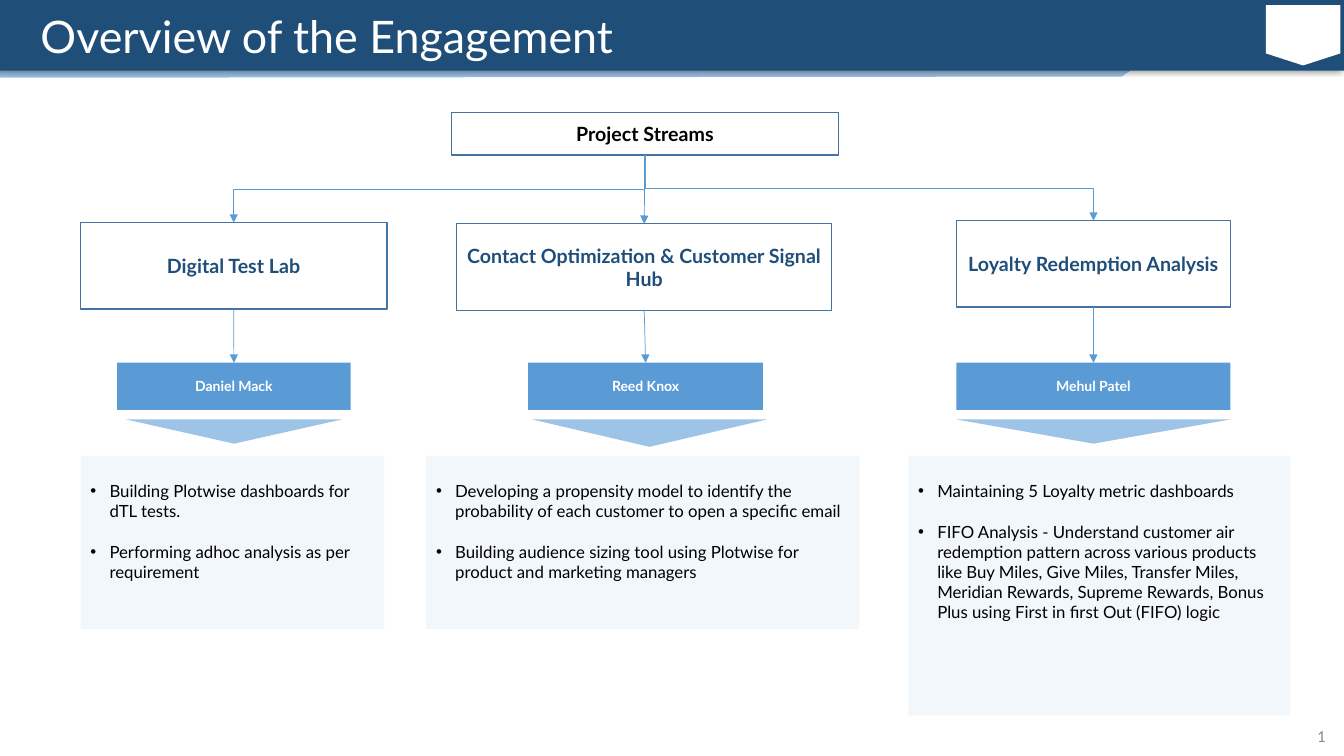
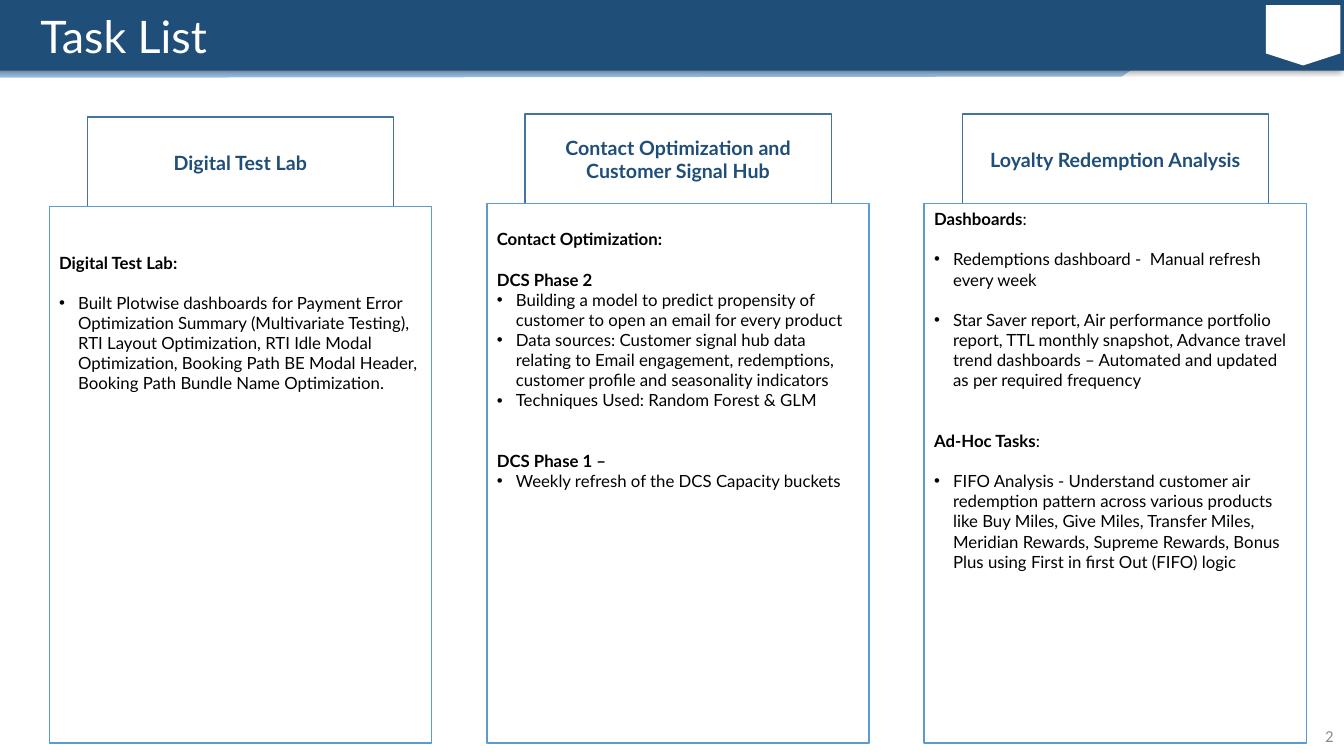
from dataclasses import dataclass
from lxml.etree import SubElement
from pptx import Presentation
from pptx.dml.color import RGBColor
from pptx.enum.shapes import MSO_CONNECTOR, MSO_SHAPE
from pptx.enum.text import MSO_ANCHOR, MSO_AUTO_SIZE, PP_ALIGN
from pptx.oxml.ns import qn
from pptx.util import Cm, Pt

NAVY, BLUE, PALE_BLUE, OUTLINE = "1F4E79", "5B9BD5", "9DC3E6", "43739E"
PANEL, WHITE, BLACK, GRAY = "F2F7FC", "FFFFFF", "000000", "8C8C8C"
PAGE_WIDTH, PAGE_HEIGHT, BAND_HEIGHT = 33.87, 19.05, 1.78
LINE_HEIGHT = 14.4
TITLE_FONT = {"name": "Lato", "size": Pt(32), "bold": False}
HEADING_FONT = {"name": "Lato", "size": Pt(14), "bold": True}
NAME_FONT = {"name": "Lato", "size": Pt(10), "bold": True}
BODY_FONT = {"name": "Lato", "size": Pt(12), "bold": False}
NUMBER_FONT = {"name": "Calibri", "size": Pt(12), "bold": False}
FRAME = {"word_wrap": True, "auto_size": MSO_AUTO_SIZE.NONE,
         "margin_left": Cm(0.25), "margin_right": Cm(0.25),
         "margin_top": Cm(0.13), "margin_bottom": Cm(0.13),
         "vertical_anchor": MSO_ANCHOR.MIDDLE}


@dataclass
class Line:
    """One paragraph of a panel with the blank lines above it."""
    text: str
    bullet: bool = True
    gap: int = 0
    tail: str = ""


@dataclass
class Stream:
    """One project stream; spans are offset and width inside its box."""
    box: tuple
    heading: str
    heading_top: float
    heading_span: tuple
    owner: str
    owner_span: tuple
    marker_span: tuple
    marker_height: float
    lines: list


@dataclass
class Task:
    """One column of the task list."""
    box: tuple
    heading: str
    blank_lines: int
    lines: list


FIFO = ("FIFO Analysis - Understand customer air redemption pattern across various "
        "products like Buy Miles, Give Miles, Transfer Miles, Meridian Rewards, "
        "Supreme Rewards, Bonus Plus using First in first Out (FIFO) logic")

STREAMS = [
    Stream((2.03, 5.56, 7.65, 10.29), "Digital Test Lab", 0.05, (0, 7.72),
           "Daniel Mack", (0.92, 5.89), (1.15, 5.44), 0.61,
           [Line("Building Plotwise dashboards for dTL tests."),
            Line("Performing adhoc analysis as per requirement", gap=1)]),
    Stream((10.74, 5.56, 10.92, 10.29), "Contact Optimization & Customer Signal Hub",
           0.08, (0.77, 9.45), "Reed Knox", (2.57, 5.92), (2.67, 5.92), 0.69,
           [Line("Developing a propensity model to identify the probability of each "
                 "customer to open a specific email"),
            Line("Building audience sizing tool using Plotwise for product and "
                 "marketing managers", gap=1)]),
    Stream((22.89, 5.56, 9.63, 12.47), "Loyalty Redemption Analysis", 0, (1.21, 6.91),
           "Mehul Patel", (1.21, 6.91), (1.21, 6.91), 0.61,
           [Line("Maintaining 5 Loyalty metric dashboards"), Line(FIFO, gap=1)]),
]

TASKS = [
    Task((1.24, 2.95, 9.63, 15.77), "Digital Test Lab", 2,
         [Line("Digital Test Lab:", bullet=False),
          Line("Built Plotwise dashboards for Payment Error Optimization Summary "
               "(Multivariate Testing), RTI Layout Optimization, RTI Idle Modal "
               "Optimization, Booking Path BE Modal Header, Booking Path Bundle Name "
               "Optimization.", gap=1)]),
    Task((12.27, 2.87, 9.63, 15.85), "Contact Optimization and Customer Signal Hub", 1,
         [Line("Contact Optimization:", bullet=False),
          Line("DCS Phase 2", bullet=False, gap=1),
          Line("Building a model to predict propensity of customer to open an email "
               "for every product"),
          Line("Data sources: Customer signal hub data relating to Email engagement, "
               "redemptions, customer profile and seasonality indicators"),
          Line("Techniques Used: Random Forest & GLM"),
          Line("DCS Phase 1 –", bullet=False, gap=2),
          Line("Weekly refresh of the DCS Capacity buckets")]),
    Task((23.29, 2.87, 9.63, 15.85), "Loyalty Redemption Analysis", 0,
         [Line("Dashboards", bullet=False, tail=":"),
          Line("Redemptions dashboard -  Manual refresh every week", gap=1),
          Line("Star Saver report, Air performance portfolio report, TTL monthly "
               "snapshot, Advance travel trend dashboards – Automated and updated as "
               "per required frequency", gap=1),
          Line("Ad-Hoc Tasks", bullet=False, gap=2, tail=":"),
          Line(FIFO, gap=1)]),
]


def color(value):
    """Turn a hex string into a colour."""
    return RGBColor.from_string(value)


def apply_format(target, values):
    """Set each named attribute of the target."""
    for name, value in values.items():
        setattr(target, name, value)


def lengths(box):
    """Turn a box in centimetres into lengths."""
    return [Cm(value) for value in box]


def place(shape, box):
    """Move and size a shape to the box."""
    apply_format(shape, dict(zip(("left", "top", "width", "height"), lengths(box))))


def paint(shape, fill=None, line=None):
    """Give a shape its fill and outline."""
    if fill:
        shape.fill.solid()
        shape.fill.fore_color.rgb = color(fill)
    else:
        shape.fill.background()
    if line:
        shape.line.color.rgb = color(line)
        shape.line.width = Pt(1)
    else:
        shape.line.fill.background()


def add_run(paragraph, text, font, text_color):
    """Append formatted text to a paragraph."""
    run = paragraph.add_run()
    run.text = text
    apply_format(run.font, font)
    run.font.color.rgb = color(text_color)
    return run


def write_label(shape, text, font, text_color, alignment=PP_ALIGN.CENTER):
    """Write one vertically centred paragraph in a shape."""
    apply_format(shape.text_frame, FRAME)
    paragraph = shape.text_frame.paragraphs[0]
    paragraph.alignment = alignment
    return add_run(paragraph, text, font, text_color)


def add_box(slide, box, fill=None, line=None, kind=MSO_SHAPE.RECTANGLE):
    """Add a preset shape without a shadow."""
    shape = slide.shapes.add_shape(kind, *lengths(box))
    shape.shadow.inherit = False
    paint(shape, fill, line)
    return shape


def send_behind(shape, front):
    """Put a shape directly behind another."""
    front._element.addprevious(shape._element)


def fill_panel(shape, box, lines, blank_lines, fill, line=None):
    """Place a body placeholder and write its headings and bullets."""
    place(shape, box)
    paint(shape, fill, line)
    frame = shape.text_frame
    apply_format(frame, FRAME)
    apply_format(frame, {"vertical_anchor": MSO_ANCHOR.TOP,
                         "margin_top": Cm(0.13) + Pt(LINE_HEIGHT * blank_lines)})
    for index, item in enumerate(lines):
        paragraph = frame.add_paragraph() if index else frame.paragraphs[0]
        apply_format(paragraph, {"alignment": PP_ALIGN.LEFT, "line_spacing": 1.0,
                                 "space_before": Pt(LINE_HEIGHT * item.gap),
                                 "space_after": Pt(0)})
        add_run(paragraph, item.text, {**BODY_FONT, "bold": not item.bullet}, BLACK)
        if item.tail:
            add_run(paragraph, item.tail, BODY_FONT, BLACK)
        properties = paragraph._p.get_or_add_pPr()
        indent = Cm(0.48) if item.bullet else 0
        properties.set("marL", str(indent))
        properties.set("indent", str(-indent))
        if item.bullet:
            SubElement(properties, qn("a:buFont")).set("typeface", "Arial")
            SubElement(properties, qn("a:buChar")).set("char", "•")
        else:
            SubElement(properties, qn("a:buNone"))


def add_arrow(slide, start, end):
    """Join two points downward, with an elbow when they are apart."""
    (start_x, start_y), (end_x, end_y) = start, end
    across, down = end_x - start_x, end_y - start_y
    elbow = abs(across) > 0.1
    if elbow:
        middle_x, middle_y = start_x + across / 2, start_y + down / 2
        half = down / 2 if across < 0 else -down / 2
        points = (middle_x - half, middle_y - abs(across) / 2,
                  middle_x + half, middle_y + abs(across) / 2)
    else:
        points = (start_x, start_y, end_x, end_y)
    kind = MSO_CONNECTOR.ELBOW if elbow else MSO_CONNECTOR.STRAIGHT
    connector = slide.shapes.add_connector(kind, *lengths(points))
    connector.line.color.rgb = color(BLUE)
    connector.line.width = Pt(0.5)
    properties = connector._element.spPr
    if elbow:
        degrees = 90 if across < 0 else 270
        properties.find(qn("a:xfrm")).set("rot", str(degrees * 60000))
    SubElement(properties.find(qn("a:ln")), qn("a:tailEnd")).set("type", "triangle")
    SubElement(properties, qn("a:effectLst"))


def add_band_shadow(band):
    """Give the title band its soft shadow."""
    effects = SubElement(band._element.spPr, qn("a:effectLst"))
    shadow = SubElement(effects, qn("a:outerShdw"))
    for name, value in {"blurRad": Pt(4), "dist": Pt(3), "dir": 180 * 60000}.items():
        shadow.set(name, str(value))
    shadow_color = SubElement(shadow, qn("a:srgbClr"))
    shadow_color.set("val", BLACK)
    SubElement(shadow_color, qn("a:alpha")).set("val", "40000")


def add_page(presentation, title, number_left):
    """Add a slide with title band, crest and number; return it and its bodies."""
    slide = presentation.slides.add_slide(presentation.slide_layouts[4])
    band, *bodies, spare = slide.placeholders
    spare._element.getparent().remove(spare._element)
    place(band, (0, 0, PAGE_WIDTH, BAND_HEIGHT))
    paint(band, NAVY)
    add_band_shadow(band)
    write_label(band, title, TITLE_FONT, WHITE, PP_ALIGN.LEFT)
    band.text_frame.margin_left = Cm(1.02)

    builder = slide.shapes.build_freeform(Cm(0), Cm(0.43), scale=1.0)
    corners = [(30.48, 0.43), (28.27, 1.93), (0, 1.96)]
    builder.add_line_segments([lengths(corner) for corner in corners])
    strip = builder.convert_to_shape()
    strip.shadow.inherit = False
    paint(strip, PALE_BLUE)
    send_behind(strip, band)

    add_box(slide, (31.9, 0.13, 1.88, 1.52), WHITE,
            kind=MSO_SHAPE.FLOWCHART_OFFPAGE_CONNECTOR)
    number = slide.shapes.add_textbox(*lengths((number_left, 18.03, 7.62, 1.02)))
    page = str(len(presentation.slides))
    run = write_label(number, page, NUMBER_FONT, GRAY, PP_ALIGN.RIGHT)
    run._r.tag = qn("a:fld")
    run._r.set("id", "{B6F15528-21DE-4FAA-801E-634DDDAF4B2B}")
    run._r.set("type", "slidenum")
    return slide, bodies


def add_stream(slide, body, stream, origin):
    """Build one stream: heading, owner, marker and panel, with arrows."""
    left, top, width, height = stream.box

    def part(span, offset, part_height):
        """Return the box of a part inside the stream."""
        return left + span[0], top + offset, span[1], part_height

    heading = add_box(slide, part(stream.heading_span, stream.heading_top, 2.18),
                      line=OUTLINE)
    write_label(heading, stream.heading, HEADING_FONT, NAVY)
    owner = add_box(slide, part(stream.owner_span, 3.58, 1.19), BLUE)
    write_label(owner, stream.owner, NAME_FONT, WHITE)
    add_box(slide, part(stream.marker_span, 5.01, stream.marker_height), PALE_BLUE,
            kind=MSO_SHAPE.FLOWCHART_MERGE)
    fill_panel(body, part((0, width), 5.92, height - 5.92), stream.lines, 1, PANEL)
    center = left + stream.heading_span[0] + stream.heading_span[1] / 2
    owner_center = left + stream.owner_span[0] + stream.owner_span[1] / 2
    heading_top = top + stream.heading_top
    add_arrow(slide, origin, (center, heading_top))
    add_arrow(slide, (center, heading_top + 2.18), (owner_center, top + 3.58))


def add_task(slide, body, task):
    """Build one task column: a heading tucked behind its panel."""
    left, top, width, height = task.box
    panel_top = top + 2.26
    heading = add_box(slide, (left + 0.96, top, width - 1.91, 2.29), line=OUTLINE)
    write_label(heading, task.heading, HEADING_FONT, NAVY)
    send_behind(heading, body)
    fill_panel(body, (left, panel_top, width, height - 2.26), task.lines,
               task.blank_lines, WHITE, BLUE)


def main():
    """Build both slides and save them."""
    presentation = Presentation()
    apply_format(presentation, {"slide_width": Cm(PAGE_WIDTH),
                                "slide_height": Cm(PAGE_HEIGHT)})
    slide, bodies = add_page(presentation, "Overview of the Engagement", 26.04)
    root = add_box(slide, (11.38, 2.84, 9.75, 1.07), line=OUTLINE)
    write_label(root, "Project Streams", HEADING_FONT, BLACK)
    for body, stream in zip(bodies, STREAMS):
        add_stream(slide, body, stream, (16.25, 3.91))
    slide, bodies = add_page(presentation, "Task List", 26.24)
    for body, task in zip(bodies, TASKS):
        add_task(slide, body, task)
    presentation.save("out.pptx")


if __name__ == "__main__":
    main()
